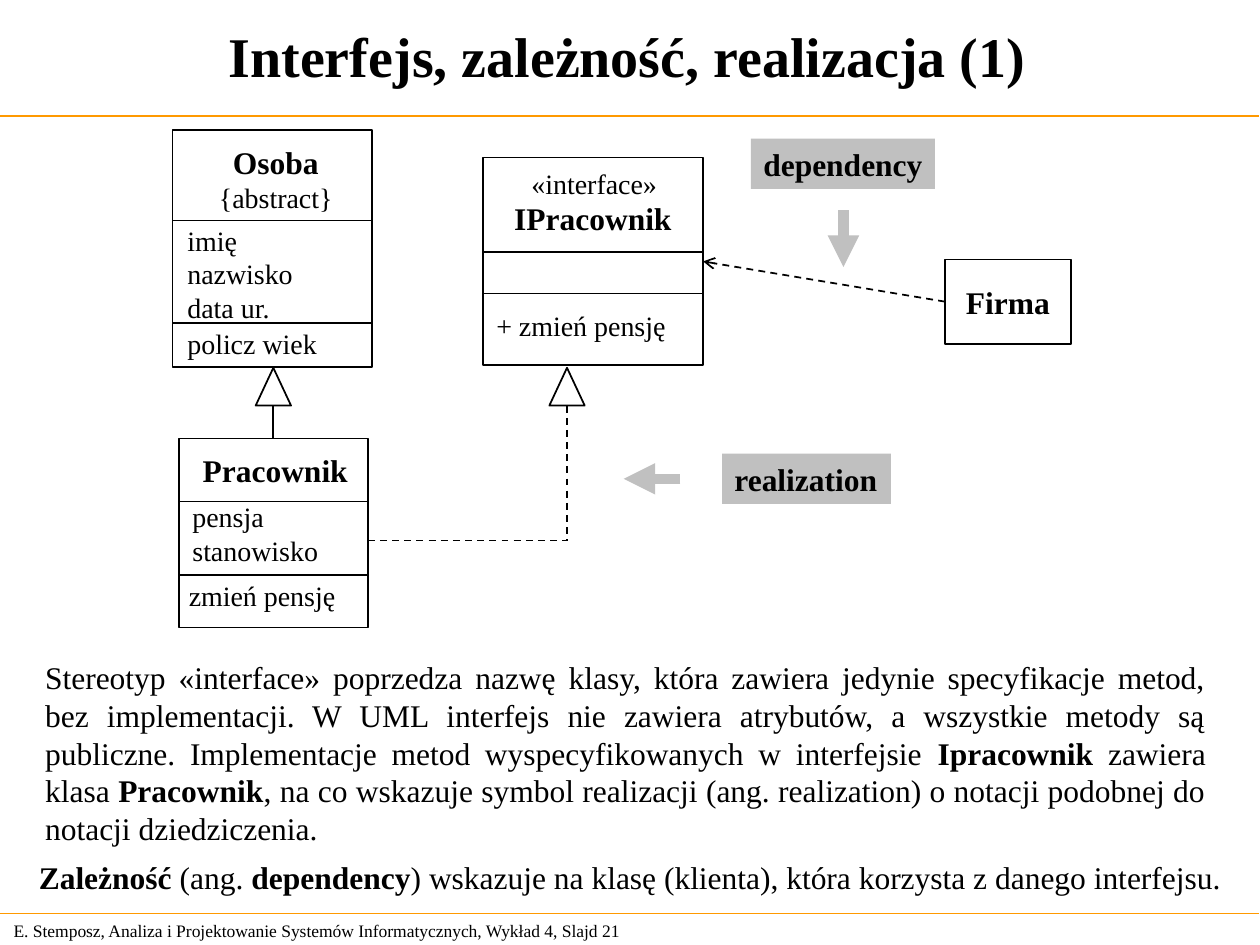
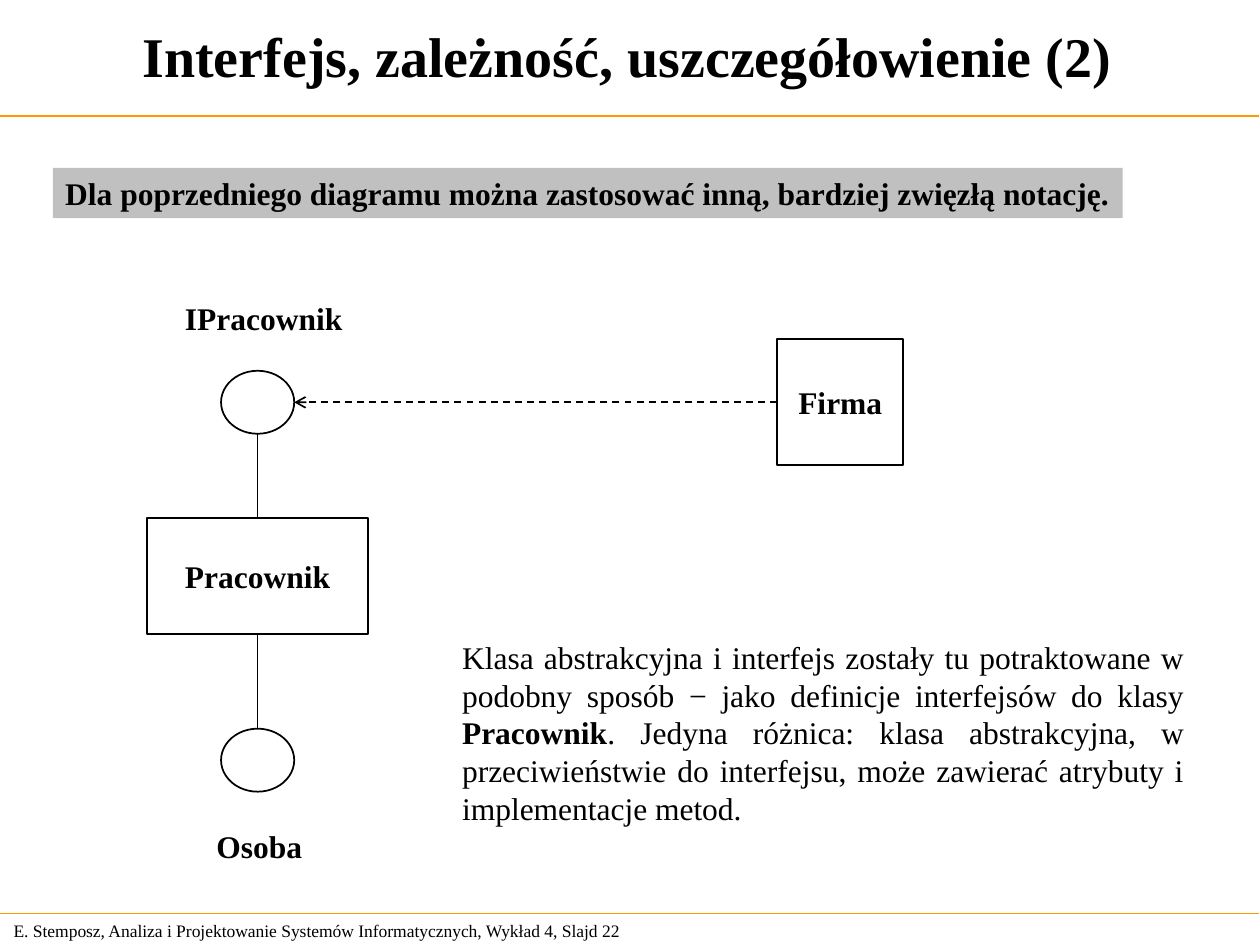
from lxml import etree
from pptx import Presentation
from pptx.dml.color import RGBColor
from pptx.enum.dml import MSO_LINE
from pptx.enum.shapes import MSO_CONNECTOR, MSO_SHAPE
from pptx.enum.text import MSO_ANCHOR, PP_ALIGN
from pptx.oxml.ns import qn
from pptx.util import Pt

RECT, OVAL = MSO_SHAPE.RECTANGLE, MSO_SHAPE.OVAL
PEAK = MSO_SHAPE.ISOSCELES_TRIANGLE
STRAIGHT, DASH = MSO_CONNECTOR.STRAIGHT, MSO_LINE.DASH
LEFT, MID, JUST = PP_ALIGN.LEFT, PP_ALIGN.CENTER, PP_ALIGN.JUSTIFY
TOP, MIDDLE = MSO_ANCHOR.TOP, MSO_ANCHOR.MIDDLE
HUES = {"ink": "000000", "rule": "FF9900", "tag": "C0C0C0"}
FONT = "Times New Roman"
WIDE, HIGH = 720, 540
HEAD, BODY, PART, FOOT = 32, 18, 16, 10
INSET = 7.2


def hue(name):
    return RGBColor.from_string(HUES[name])


def pts(*nums):
    return [Pt(n) for n in nums]


def write(shape, lines, align=LEFT, anchor=TOP):
    """Fill a shape with (text, size) lines; *stars* enclose bold words.

    Sides that the alignment does not need get no inset, to leave slack.
    """
    frame = shape.text_frame
    frame.word_wrap = True
    frame.vertical_anchor = anchor
    frame.margin_left = Pt(0 if align == MID else INSET)
    frame.margin_right = Pt(INSET if align == JUST else 0)
    for i, (text, size) in enumerate(lines):
        para = frame.add_paragraph() if i else frame.paragraphs[0]
        para.alignment = align
        font = para.font
        font.name, font.size = FONT, Pt(size)
        font.color.rgb = hue("ink")
        bits = [(bit, n % 2 == 1) for n, bit in enumerate(text.split("*")) if bit]
        if len(bits) == 1:
            font.bold = bits[0][1]
        for bit, bold in bits:
            run = para.add_run()
            run.text = bit
            if len(bits) > 1:
                run.font.bold = bold


def label(slide, box, *lines, **style):
    write(slide.shapes.add_textbox(*pts(*box)), lines, **style)


def draw(slide, kind, box, fill=None):
    """Add a filled shape without outline, or an outlined one without fill."""
    shape = slide.shapes.add_shape(kind, *pts(*box))
    shape.shadow.inherit = False
    if fill:
        shape.fill.solid()
        shape.fill.fore_color.rgb = hue(fill)
        shape.line.fill.background()
    else:
        shape.fill.background()
        shape.line.color.rgb = hue("ink")
        shape.line.width = Pt(1)
    return shape


def link(slide, start, end, color="ink", width=1, dash=False, tip=None):
    wire = slide.shapes.add_connector(STRAIGHT, *pts(*start, *end))
    wire.line.color.rgb = hue(color)
    wire.line.width = Pt(width)
    if dash:
        wire.line.dash_style = DASH
    if tip:
        etree.SubElement(wire.line._get_or_add_ln(), qn("a:tailEnd"), type=tip)
    etree.SubElement(wire._element.spPr, qn("a:effectLst"))
    return wire


def tag(slide, box, text):
    write(draw(slide, RECT, box, "tag"), [(f"*{text}*", BODY)])


def node(slide, box, name):
    """Draw a plain class with only its name."""
    shape = draw(slide, RECT, box)
    write(shape, [(f"*{name}*", BODY)], MID, MIDDLE)
    return shape


def table(slide, box, rules, parts):
    """Draw a class split by rules; each part is (inner box, align, lines)."""
    x, y, w, _ = box
    shape = draw(slide, RECT, box)
    for rule in rules:
        link(slide, (x, y + rule), (x + w, y + rule))
    for (dx, dy, pw, ph), align, lines in parts:
        label(slide, (x + dx, y + dy, pw, ph), *lines, align=align, anchor=MIDDLE)
    return shape


def page(deck, title, number):
    slide = deck.slides.add_slide(deck.slide_layouts[6])
    label(slide, (0.7, 522, 377.3, 19.4),
          ("E. Stemposz, Analiza i Projektowanie Systemów Informatycznych, "
           f"Wykład 4, Slajd {number}", FOOT), anchor=MIDDLE)
    for y, width in ((66.24, 1), (522, 0.75)):
        link(slide, (-0.7, y), (WIDE - 0.7, y), "rule", width)
    label(slide, (0, 0.7, 717, 61.2), (f"*{title}*", HEAD),
          align=MID, anchor=MIDDLE)
    return slide


def classes(slide, x, y):
    """Draw the full class diagram from its top left corner."""
    tag(slide, (x + 333.1, y + 7.2, 105.1, 28.8), "dependency")
    tag(slide, (x + 316.6, y + 187.2, 96.5, 28.8), "realization")
    table(slide, (x + 2.6, y + 2.2, 113.8, 135.4), (51.8, 110.2), (
        ((19.4, 3.6, 79.2, 48.2), MID, [("*Osoba*", BODY), ("{abstract}", PART)]),
        ((1.4, 49.7, 100, 64.8), LEFT,
         [(text, PART) for text in ("imię", "nazwisko", "data ur.")]),
        ((1.4, 108.7, 100, 26.6), LEFT, [("policz wiek", PART)])))
    face = table(slide, (x + 179.8, y + 18, 126, 118.8), (54, 77.8), (
        ((10.8, 20.2, 104.4, 28.8), MID, [("*IPracownik*", BODY)]),
        ((20.9, 1.4, 85.7, 26.6), MID, [("«interface»", PART)]),
        ((0.7, 82.8, 120, 26.6), LEFT, [("+ zmień pensję", PART)])))
    staff = table(slide, (x + 6.2, y + 178.6, 108, 108), (36, 77.8), (
        ((6.5, 3.6, 97.2, 28.8), MID, [("*Pracownik*", BODY)]),
        ((0.7, 31, 100, 46), LEFT, [("pensja", PART), ("stanowisko", PART)]),
        ((-1.4, 76.3, 105, 26.6), LEFT, [("zmień pensję", PART)])))
    firm = node(slide, (x + 444, y + 76.3, 72, 48.2), "Firma")

    heir, real = x + 60.2, x + 228
    base, bend = y + 159.8, y + 236.9
    for peak in (heir, real):
        draw(slide, PEAK, (peak - 10.1, base - 21.6, 20.2, 21.6))
    link(slide, (heir, base), (heir, y + 178.6)).end_connect(staff, 0)
    link(slide, (real, base), (real, bend), dash=True)
    link(slide, (x + 114.2, bend), (real, bend), dash=True)
    uses = link(slide, (x + 444, y + 100.4), (x + 305.8, y + 77.4),
                dash=True, tip="arrow")
    uses.begin_connect(firm, 1)
    uses.end_connect(face, 3)
    for start, end in (((386, 48.2), (386, 80.6)), ((292.8, 201.6), (260.4, 201.6))):
        link(slide, (x + start[0], y + start[1]), (x + end[0], y + end[1]),
             "tag", 6, tip="triangle")


def brief(slide, x, y):
    """Draw the short notation with circles for interfaces."""
    mid, wide, high = x + 63, 41.8, 36
    upper, lower = y + 44.7, y + 249.2
    label(slide, (x + 14.4, y, 104.4, 28.8), ("*IPracownik*", BODY))
    label(slide, (x + 32.4, y + 301.7, 63.4, 28.8), ("*Osoba*", BODY))
    for top in (upper, lower):
        draw(slide, OVAL, (mid - wide / 2, top, wide, high))
    staff = node(slide, (x, y + 128.9, 126, 66.2), "Pracownik")
    firm = node(slide, (x + 360, y + 26.7, 72, 72), "Firma")
    link(slide, (mid, upper + high), (mid, y + 128.9)).end_connect(staff, 0)
    link(slide, (mid, y + 195.1), (mid, lower)).begin_connect(staff, 2)
    row = upper + high / 2
    link(slide, (x + 360, row), (mid + wide / 2, row),
         dash=True, tip="arrow").begin_connect(firm, 1)


def main():
    deck = Presentation()
    deck.slide_width, deck.slide_height = pts(WIDE, HIGH)

    slide = page(deck, "Interfejs, zależność, realizacja (1)", 21)
    classes(slide, 96, 72)
    label(slide, (18.7, 372.5, 677.5, 115.2),
          ("Stereotyp «interface» poprzedza nazwę klasy, która zawiera jedynie "
           "specyfikacje metod, bez implementacji. W UML interfejs nie zawiera "
           "atrybutów, a wszystkie metody są publiczne. Implementacje metod "
           "wyspecyfikowanych w interfejsie *Ipracownik* zawiera klasa "
           "*Pracownik*, na co wskazuje symbol realizacji (ang. realization) "
           "o notacji podobnej do notacji dziedziczenia.", BODY),
          align=JUST)
    label(slide, (15.1, 487, 695, 28.8),
          ("*Zależność* (ang. *dependency*) wskazuje na klasę (klienta), "
           "która korzysta z danego interfejsu.", BODY))

    slide = page(deck, "Interfejs, zależność, uszczegółowienie (2)", 22)
    tag(slide, (30.2, 95.9, 611.3, 28.8),
        "Dla poprzedniego diagramu można zastosować inną, bardziej zwięzłą notację.")
    brief(slide, 84.2, 167.2)
    label(slide, (257, 361, 427, 115.2),
          ("Klasa abstrakcyjna i interfejs zostały tu potraktowane w podobny "
           "sposób − jako definicje interfejsów do klasy *Pracownik*. Jedyna "
           "różnica: klasa abstrakcyjna, w przeciwieństwie do interfejsu, może "
           "zawierać atrybuty i implementacje metod.", BODY),
          align=JUST)
    deck.save("out.pptx")


if __name__ == "__main__":
    main()
